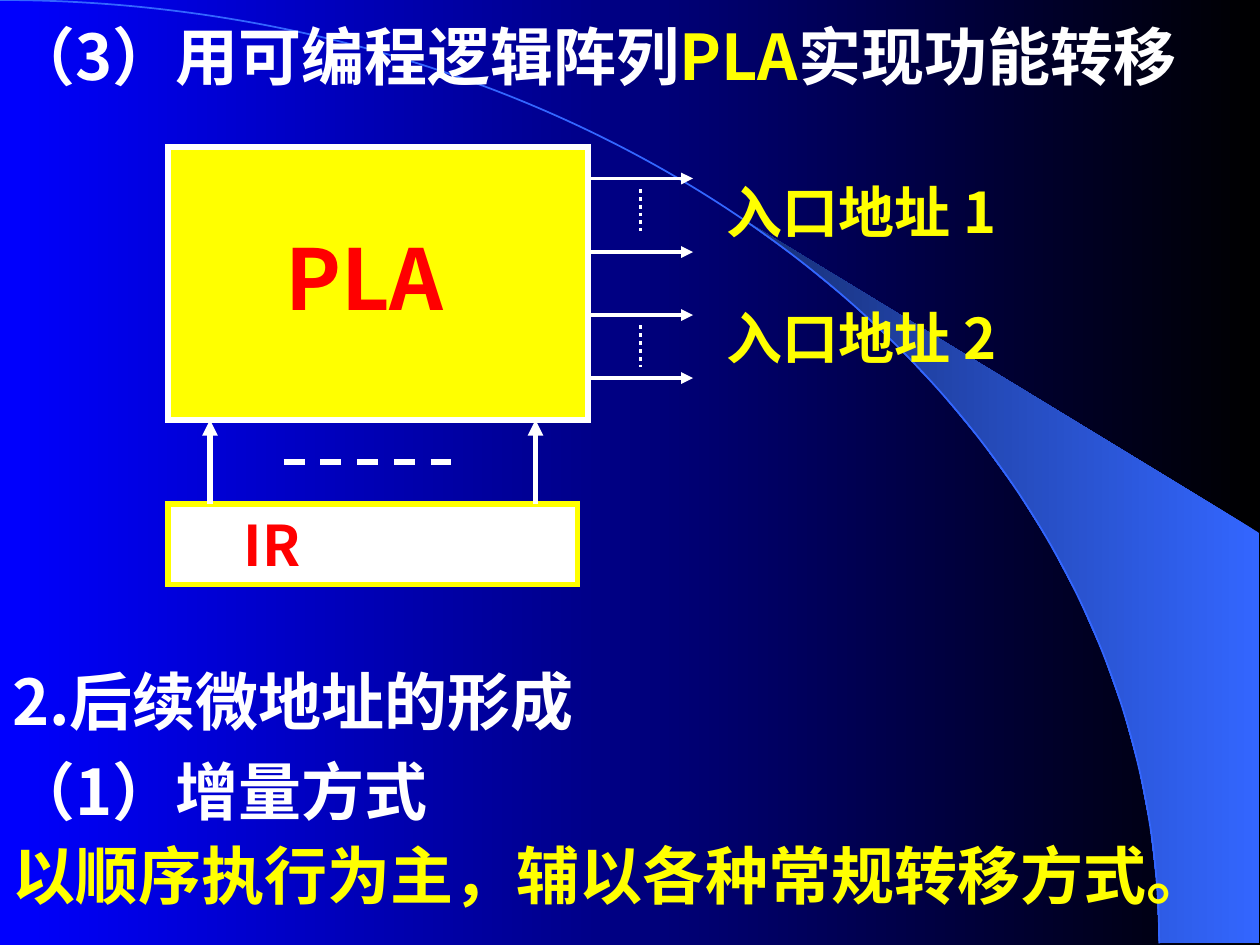
from dataclasses import dataclass
from math import cos, radians, sin
from typing import Optional

from lxml.etree import SubElement
from pptx import Presentation
from pptx.dml.color import RGBColor
from pptx.enum.dml import MSO_LINE
from pptx.enum.shapes import MSO_CONNECTOR, MSO_SHAPE
from pptx.enum.text import MSO_ANCHOR, MSO_AUTO_SIZE, PP_ALIGN
from pptx.oxml.ns import qn
from pptx.util import Pt

FONT = "Noto Sans CJK SC"
COLORS = {
    "black": "000000",
    "blue": "0000FF",
    "sky": "3366FF",
    "navy": "172F75",
    "white": "FFFFFF",
    "yellow": "FFFF00",
    "red": "FF0000",
}
WIDE, HIGH = 720, 540
ARC_X, ARC_Y = 662.4, 539
EDGE = 719.5
STEPS = 14


@dataclass
class Label:
    x: float
    y: float
    w: float
    h: float
    size: float
    runs: list[tuple[str, str]]
    space: float = 0.7


@dataclass
class Box:
    x: float
    y: float
    w: float
    h: float
    fill: str
    edge: str


@dataclass
class Line:
    x1: float
    y1: float
    x2: float
    y2: float
    width: float
    dash: Optional[MSO_LINE] = None


def color(name: str) -> RGBColor:
    return RGBColor.from_string(COLORS[name])


def shade(fill, first: str, last: str) -> None:
    fill.gradient()
    fill.gradient_angle = 180
    for stop, name in zip(fill.gradient_stops, (first, last)):
        stop.color.rgb = color(name)


def rim(start: float, end: float) -> list[tuple[float, float]]:
    step = (end - start) / STEPS
    turns = [radians(start + step * i) for i in range(STEPS + 1)]
    return [(ARC_X * sin(t), ARC_Y * (1 - cos(t))) for t in turns]


def draw_beam(slide) -> None:
    points = [(EDGE, ARC_Y), (EDGE, 304.5)] + rim(39.8, 90)
    spots = [(Pt(x), Pt(y)) for x, y in points]
    pen = slide.shapes.build_freeform(*spots[0])
    pen.add_line_segments(spots[1:], close=True)
    beam = pen.convert_to_shape()
    beam.shadow.inherit = False
    shade(beam.fill, "sky", "navy")
    beam.line.fill.background()


def draw_curve(slide) -> None:
    curve = slide.shapes.add_shape(
        MSO_SHAPE.ARC, Pt(-ARC_X), Pt(0), Pt(2 * ARC_X), Pt(2 * ARC_Y))
    curve.shadow.inherit = False
    curve.fill.background()
    curve.line.color.rgb = color("sky")
    curve.line.width = Pt(1)


def write(frame, size: float, runs: list[tuple[str, str]], space: float) -> None:
    para = frame.paragraphs[0]
    para.alignment = PP_ALIGN.LEFT
    para.line_spacing = space
    for text, name in runs:
        run = para.add_run()
        run.text = text
        run.font.size = Pt(size)
        run.font.bold = True
        run.font.name = FONT
        run.font.color.rgb = color(name)
        SubElement(run.font._element, qn("a:ea"), typeface=FONT)


def draw_label(slide, label: Label) -> None:
    shape = slide.shapes.add_textbox(
        Pt(label.x), Pt(label.y), Pt(label.w), Pt(label.h))
    frame = shape.text_frame
    frame.word_wrap = True
    frame.auto_size = MSO_AUTO_SIZE.SHAPE_TO_FIT_TEXT
    write(frame, label.size, label.runs, label.space)


def draw_box(slide, box: Box):
    shape = slide.shapes.add_shape(
        MSO_SHAPE.RECTANGLE, Pt(box.x), Pt(box.y), Pt(box.w), Pt(box.h))
    shape.shadow.inherit = False
    shape.fill.solid()
    shape.fill.fore_color.rgb = color(box.fill)
    shape.line.color.rgb = color(box.edge)
    shape.line.width = Pt(3)
    SubElement(shape.line._get_or_add_ln(), qn("a:miter"), lim="800000")
    return shape


def draw_line(slide, line: Line) -> None:
    shape = slide.shapes.add_connector(
        MSO_CONNECTOR.STRAIGHT,
        Pt(line.x1), Pt(line.y1), Pt(line.x2), Pt(line.y2))
    shape.line.color.rgb = color("white")
    shape.line.width = Pt(line.width)
    if line.dash:
        shape.line.dash_style = line.dash
    else:
        SubElement(shape.line._get_or_add_ln(), qn("a:tailEnd"), type="triangle")
    SubElement(shape._element.spPr, qn("a:effectLst"))


def main() -> None:
    deck = Presentation()
    deck.slide_width, deck.slide_height = Pt(WIDE), Pt(HIGH)
    slide = deck.slides.add_slide(deck.slide_layouts[6])
    shade(slide.background.fill, "black", "blue")
    draw_beam(slide)
    draw_curve(slide)

    draw_box(slide, Box(96, 84, 240, 156, "yellow", "white"))
    store = draw_box(slide, Box(96, 288, 234, 46, "white", "yellow"))
    frame = store.text_frame
    frame.margin_left = Pt(43.2)
    frame.vertical_anchor = MSO_ANCHOR.MIDDLE
    write(frame, 32, [("IR", "red")], 1)

    lines = [Line(336, y, 396, y, 2.25) for y in (102, 144, 180, 216)]
    lines += [Line(366, y, 366, y + 24, 2.25, MSO_LINE.ROUND_DOT)
              for y in (108, 186)]
    lines += [Line(x, 288, x, 240, 3) for x in (120, 306)]
    lines.append(Line(162, 264, 258, 264, 3, MSO_LINE.DASH))
    for line in lines:
        draw_line(slide, line)

    labels = [
        Label(0, 18, 792, 37.5, 36, [
            ("（3）用可编程逻辑阵列", "white"),
            ("PLA", "yellow"),
            ("实现功能转移", "white"),
        ]),
        Label(156, 126, 126, 65, 48, [("PLA", "red")], 1),
        Label(408, 108.5, 312, 34.5, 32, [("入口地址 1", "yellow")]),
        Label(408, 180.5, 312, 34.5, 32, [("入口地址 2", "yellow")]),
        Label(0, 390.5, 612, 33, 36, [("2.后续微地址的形成", "white")], 0.6),
        Label(0, 438, 510, 37.5, 36, [("（1）增量方式", "white")]),
        Label(0, 486, 900, 37.5, 36,
              [("以顺序执行为主，辅以各种常规转移方式。", "yellow")]),
    ]
    for label in labels:
        draw_label(slide, label)

    deck.save("out.pptx")


if __name__ == "__main__":
    main()
